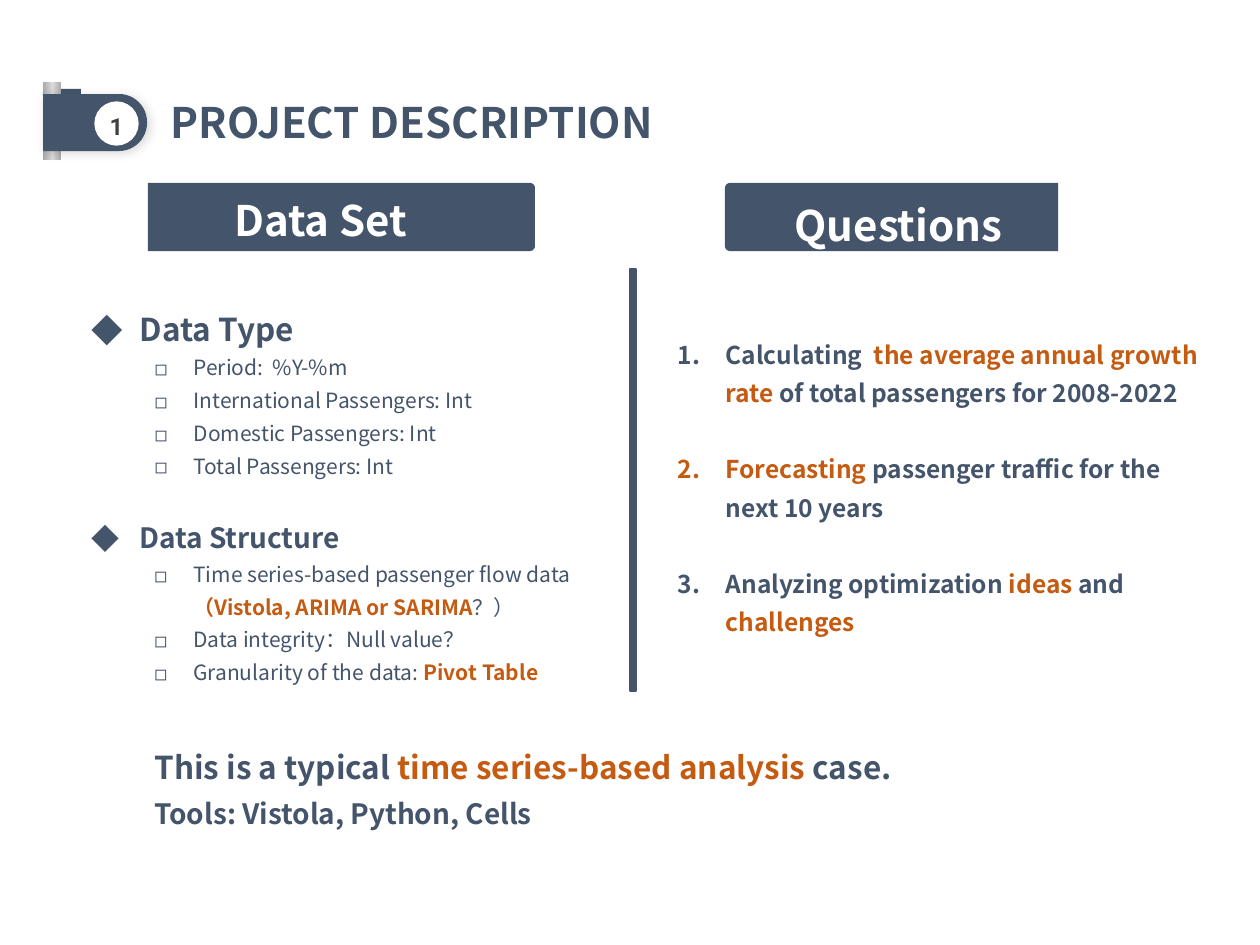
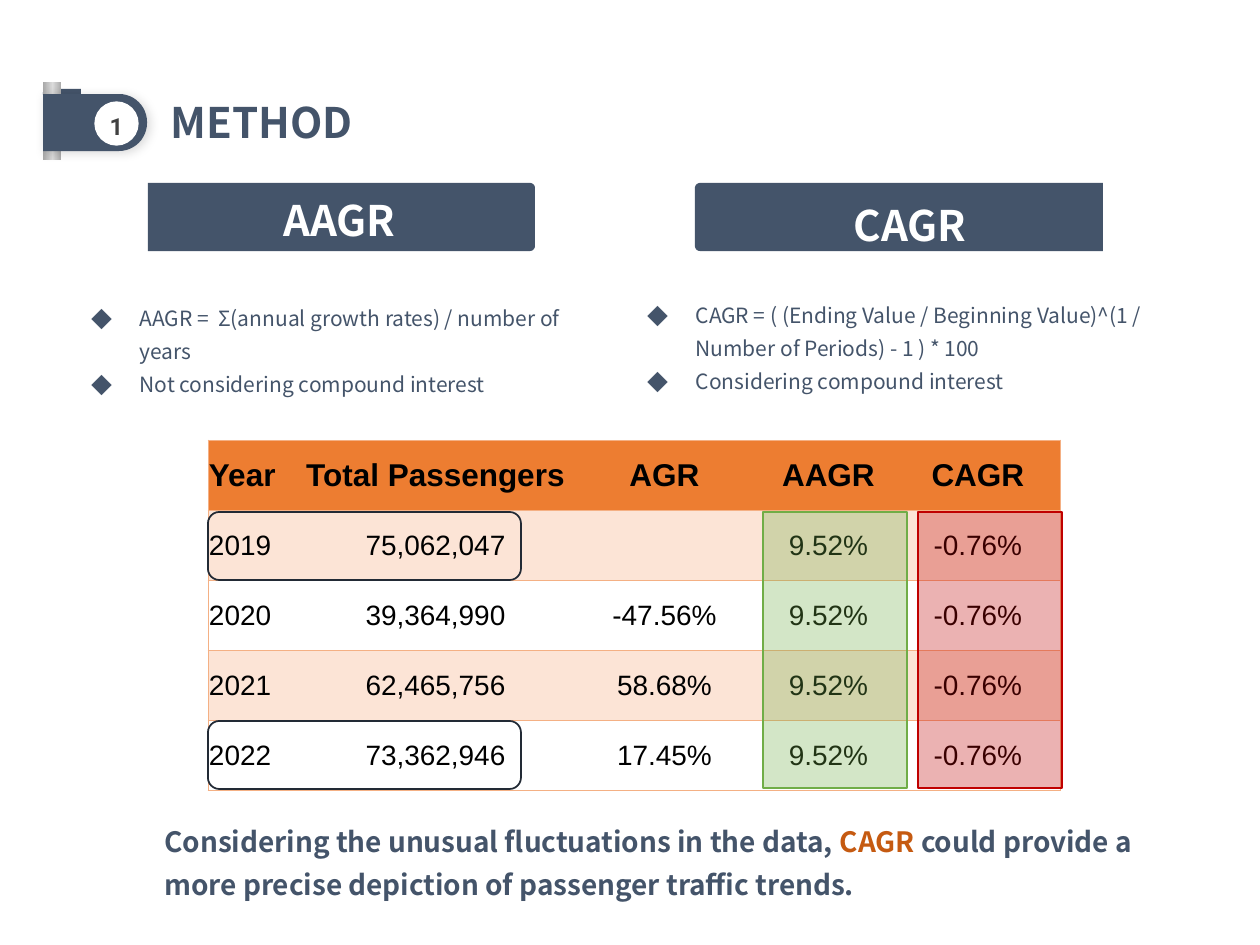
from copy import deepcopy
from math import cos, radians, sin

from lxml import etree
from pptx import Presentation
from pptx.dml.color import RGBColor
from pptx.enum.shapes import MSO_SHAPE
from pptx.enum.text import MSO_ANCHOR, MSO_AUTO_SIZE, PP_ALIGN
from pptx.oxml.ns import qn
from pptx.util import Emu, Pt

RECT, ROUND_RECT, OVAL = MSO_SHAPE.RECTANGLE, MSO_SHAPE.ROUNDED_RECTANGLE, MSO_SHAPE.OVAL
LEFT, CENTER = PP_ALIGN.LEFT, PP_ALIGN.CENTER
TOP, MIDDLE = MSO_ANCHOR.TOP, MSO_ANCHOR.MIDDLE
NO_AUTOFIT = MSO_AUTO_SIZE.NONE

PX = 914400 / 126
TWO_CONTENT = 3

NAVY = RGBColor(0x44, 0x54, 0x6A)
DARK_NAVY = RGBColor(0x22, 0x2A, 0x35)
RUST = RGBColor(0xC5, 0x5A, 0x11)
WHITE = RGBColor(0xFF, 0xFF, 0xFF)
BLACK = RGBColor(0, 0, 0)
CHARCOAL = RGBColor(0x41, 0x41, 0x41)
ORANGE = RGBColor(0xED, 0x7D, 0x31)
PEACH = RGBColor(0xFC, 0xE4, 0xD6)
TABLE_LINE = RGBColor(0xF4, 0xB0, 0x84)
GREEN = RGBColor(0x70, 0xAD, 0x47)
RED = RGBColor(0xC0, 0, 0)
ROD_STOPS = [(0, RGBColor(0xA7, 0xA7, 0xA7)), (0.54, RGBColor(0xDB, 0xDB, 0xDB)),
             (1, RGBColor(0xAB, 0xAB, 0xAB))]

MAIN_FONT = "Noto Sans CJK SC"

# Paragraph styles
TITLE = dict(size=24, bold=True, spacing=0.9)
BANNER = dict(size=24, bold=True, color=WHITE, align=CENTER)
BADGE = dict(size=13.5, bold=True, color=CHARCOAL, font="Roboto", align=CENTER, spacing=1.2)
LEAD = dict(size=18, bold=True, spacing=1.3)
NOTE = LEAD | dict(size=16)
TOPIC = LEAD | dict(bullet="◆", indent=48, hang=48)
SMALL_TOPIC = TOPIC | dict(size=16)
FORMULA = TOPIC | dict(size=12, bold=False)
DETAIL = dict(size=12, spacing=1.3, level=1, bullet="◻", indent=102, hang=39)
QUESTION = dict(size=14, bold=True, spacing=1.3, bullet="1.", indent=48, hang=48)
NEXT_QUESTION = QUESTION | dict(before=21.7)
HEAD_CELL = dict(size=18, bold=True, color=BLACK, font="Arial")
BODY_CELL = HEAD_CELL | dict(size=16, bold=False)

COLUMN_WIDTHS = [96, 263, 195, 133, 166]
GROWTH_ROWS = [
    ["Year", "Total Passengers", "AGR", "AAGR", "CAGR"],
    ["2019", "75,062,047", "", "9.52%", "-0.76%"],
    ["2020", "39,364,990", "-47.56%", "9.52%", "-0.76%"],
    ["2021", "62,465,756", "58.68%", "9.52%", "-0.76%"],
    ["2022", "73,362,946", "17.45%", "9.52%", "-0.76%"],
]


def px(*lengths):
    return [Emu(round(length * PX)) for length in lengths]


def assign(target, values):
    for name, value in values.items():
        setattr(target, name, value)


def add_xml(parent, tag, **attributes):
    return etree.SubElement(parent, qn(tag), {k: str(v) for k, v in attributes.items()})


def set_bullet(para, bullet, indent, hang):
    """Hang the paragraph behind a symbol, or behind a counter for "1."."""
    props = para._p.get_or_add_pPr()
    props.set("marL", str(px(indent)[0]))
    props.set("indent", str(px(-hang)[0]))
    if bullet == "1.":
        add_xml(props, "a:buFont", typeface="+mj-lt")
        add_xml(props, "a:buAutoNum", type="arabicPeriod")
    else:
        add_xml(props, "a:buFont", typeface=MAIN_FONT)
        add_xml(props, "a:buChar", char=bullet)


def write_para(para, text, style):
    """Write one paragraph; the parts between bars are accented."""
    assign(para, dict(alignment=style.get("align", LEFT), level=style.get("level", 0),
                      line_spacing=style.get("spacing", 1.0),
                      space_before=Pt(style.get("before", 0))))
    if "bullet" in style:
        set_bullet(para, style["bullet"], style["indent"], style["hang"])
    for number, part in enumerate(text.split("|")):
        if not part:
            continue
        accent = number % 2 == 1
        span = para.add_run()
        span.text = part
        font = style.get("font", MAIN_FONT)
        assign(span.font, dict(size=Pt(style["size"]), name=font,
                               bold=accent or style.get("bold", False)))
        span.font.color.rgb = RUST if accent else style.get("color", NAVY)
        add_xml(span._r.get_or_add_rPr(), "a:ea", typeface=font)


def write(box, paras, anchor=TOP):
    frame = box.text_frame
    assign(frame, dict(word_wrap=True, auto_size=NO_AUTOFIT, vertical_anchor=anchor))
    for number, (text, style) in enumerate(paras):
        write_para(frame.add_paragraph() if number else frame.paragraphs[0], text, style)


def add_text(page, area, paras):
    write(page.shapes.add_textbox(*px(*area)), paras)


def fill_placeholder(holder, area, paras, anchor=TOP):
    assign(holder, dict(zip(("left", "top", "width", "height"), px(*area))))
    write(holder, paras, anchor)


def paint(shape, fill=None, line=None, width=0.75, opacity=100):
    shape.shadow.inherit = False
    if fill is None:
        shape.fill.background()
    else:
        shape.fill.solid()
        shape.fill.fore_color.rgb = fill
        if opacity < 100:
            color = shape._element.spPr.find(qn("a:solidFill"))[0]
            add_xml(color, "a:alpha", val=opacity * 1000)
    if line is None:
        shape.line.fill.background()
    else:
        shape.line.color.rgb = line
        shape.line.width = Pt(width)
    return shape


def add_preset(page, kind, area, **look):
    return paint(page.shapes.add_shape(kind, *px(*area)), **look)


def arc(x, y, radius, start, end):
    """Points on a circle, clockwise from start to end in degrees."""
    steps = 12
    angles = [radians(start + (end - start) * i / steps) for i in range(steps + 1)]
    return [(x + radius * cos(a), y + radius * sin(a)) for a in angles]


def add_outline(page, points, fill):
    points = [px(*point) for point in points]
    builder = page.shapes.build_freeform(*points[0])
    builder.add_line_segments(points[1:], close=True)
    return paint(builder.convert_to_shape(), fill)


def add_side_rounded(page, area, radius, round_left=False):
    """A bar with rounded corners on its right side, or on its left."""
    left, top, width, height = area
    right, bottom = left + width, top + height
    upper, lower = top + radius, bottom - radius
    if round_left:
        points = [(right, top), (right, bottom), *arc(left + radius, lower, radius, 90, 180),
                  *arc(left + radius, upper, radius, 180, 270)]
    else:
        points = [(left, bottom), (left, top), *arc(right - radius, upper, radius, -90, 0),
                  *arc(right - radius, lower, radius, 0, 90)]
    return add_outline(page, points, NAVY)


def add_rod(page):
    rod = add_preset(page, RECT, (43, 82, 18, 78))
    rod.fill.gradient()
    rod.fill.gradient_angle = 0
    stop_list = rod._element.spPr.find(qn("a:gradFill")).find(qn("a:gsLst"))
    stop_list.append(deepcopy(stop_list[0]))
    for stop, (position, color) in zip(rod.fill.gradient_stops, ROD_STOPS):
        stop.position = position
        stop.color.rgb = color


def add_soft_shadow(shape):
    effects = shape._element.spPr.find(qn("a:effectLst"))
    shadow = add_xml(effects, "a:outerShdw", blurRad=Pt(6), dist=Pt(2), dir=45 * 60000,
                     algn="tl", rotWithShape=0)
    add_xml(add_xml(shadow, "a:srgbClr", val=BLACK), "a:alpha", val=15000)


def add_section_tag(page, number):
    add_side_rounded(page, (43, 89, 38, 9), 4, round_left=True)
    add_rod(page)
    add_soft_shadow(add_side_rounded(page, (43, 94, 104, 57), 28))
    badge = add_preset(page, OVAL, (95, 102, 43, 43), fill=WHITE, line=WHITE)
    assign(badge.text_frame, dict.fromkeys(
        ("margin_left", "margin_top", "margin_right", "margin_bottom"), 0))
    write(badge, [(number, BADGE)], MIDDLE)


def add_page(deck, title, left_list, right_list):
    """Add a page with its section tag, title and two (area, paragraphs) lists."""
    page = deck.slides.add_slide(deck.slide_layouts[TWO_CONTENT])
    fill_placeholder(page.shapes.title, (158, 98, 609, 53), [(title, TITLE)], MIDDLE)
    for index, (area, paras) in enumerate((left_list, right_list), start=1):
        fill_placeholder(page.placeholders[index], area, paras)
    add_section_tag(page, "1")
    return page


def add_banner(page, left, width, text, text_area, round_left=False):
    add_side_rounded(page, (left, 183, width, 68), 5, round_left)
    add_text(page, text_area, [(text, BANNER)])


def set_borders(cell, visible_sides):
    props = cell._tc.get_or_add_tcPr()
    for side in "LRTB":
        line = add_xml(props, f"a:ln{side}", w=Pt(0.5))
        if side in visible_sides:
            add_xml(add_xml(line, "a:solidFill"), "a:srgbClr", val=TABLE_LINE)
        else:
            add_xml(line, "a:noFill")


def add_growth_table(page, left, top, row_height):
    size = px(sum(COLUMN_WIDTHS), row_height * len(GROWTH_ROWS))
    table = page.shapes.add_table(len(GROWTH_ROWS), len(COLUMN_WIDTHS),
                                  *px(left, top), *size).table
    assign(table, dict(first_row=False, horz_banding=False))
    for column, width in zip(table.columns, px(*COLUMN_WIDTHS)):
        column.width = width
    last = len(COLUMN_WIDTHS) - 1
    for r, values in enumerate(GROWTH_ROWS):
        table.rows[r].height = px(row_height)[0]
        for c, value in enumerate(values):
            cell = table.cell(r, c)
            margin = px(1)[0]
            assign(cell, dict(margin_left=margin, margin_right=margin, margin_top=margin,
                              margin_bottom=0, vertical_anchor=MIDDLE))
            set_borders(cell, "TB" + {0: "L", last: "R"}.get(c, ""))
            if r == 0 or r % 2:
                cell.fill.solid()
                cell.fill.fore_color.rgb = PEACH if r else ORANGE
            else:
                cell.fill.background()
            style = BODY_CELL if r else HEAD_CELL
            write_para(cell.text_frame.paragraphs[0], value,
                       style | dict(align=CENTER if c else LEFT))


def build_description(deck):
    data_type = [("Data Type", TOPIC), ("Period:  %Y-%m", DETAIL),
                 ("International Passengers: Int", DETAIL),
                 ("Domestic Passengers: Int", DETAIL), ("Total Passengers: Int", DETAIL)]
    questions = [
        ("Calculating  |the average annual growth rate| of total passengers for 2008-2022",
         QUESTION),
        ("|Forecasting| passenger traffic for the next 10 years", NEXT_QUESTION),
        ("Analyzing optimization |ideas| and |challenges|", NEXT_QUESTION)]
    page = add_page(deck, "PROJECT DESCRIPTION", ((79, 292, 556, 192), data_type),
                    ((665, 325, 556, 357), questions))
    add_banner(page, 148, 387, "Data Set", (52, 188, 537, 63))
    add_banner(page, 725, 333, "Questions", (717, 193, 363, 63), round_left=True)
    add_preset(page, RECT, (630, 269, 6, 422), fill=NAVY, line=NAVY)
    add_text(page, (79, 504, 556, 186), [
        ("Data Structure", SMALL_TOPIC),
        ("Time series-based passenger flow data|（Vistola, ARIMA or SARIMA|？）", DETAIL),
        ("Data integrity：Null value？", DETAIL),
        ("Granularity of the data: |Pivot Table|", DETAIL)])
    add_text(page, (142, 731, 920, 102), [
        ("This is a typical |time series-based analysis |case.", LEAD),
        ("Tools: Vistola, Python, Cells", NOTE)])


def build_method(deck):
    average = [("AAGR =  Σ(annual growth rates) / number of years", FORMULA),
               ("Not considering compound interest", FORMULA)]
    compound = [("CAGR = ( (Ending Value / Beginning Value)^(1 / Number of Periods) - 1 ) * 100",
                 FORMULA), ("Considering compound interest", FORMULA)]
    page = add_page(deck, "METHOD", ((79, 292, 514, 108), average),
                    ((635, 289, 532, 108), compound))
    add_banner(page, 148, 387, "AAGR", (158, 188, 363, 63))
    add_banner(page, 695, 408, "CAGR", (740, 193, 340, 63), round_left=True)
    add_growth_table(page, 208, 440, 70)
    for top in (512, 721):
        add_preset(page, ROUND_RECT, (208, top, 313, 68), line=DARK_NAVY, width=1)
    for left, color in ((763, GREEN), (918, RED)):
        add_preset(page, RECT, (left, 512, 144, 276), fill=color, line=color, width=1,
                   opacity=30)
    add_text(page, (152, 808, 1014, 97), [
        ("Considering the unusual fluctuations in the data, |CAGR| could provide a more "
         "precise depiction of passenger traffic trends.", NOTE)])


def main():
    deck = Presentation()
    deck.slide_width, deck.slide_height = px(1260, 945)
    build_description(deck)
    build_method(deck)
    deck.save("out.pptx")


if __name__ == "__main__":
    main()
